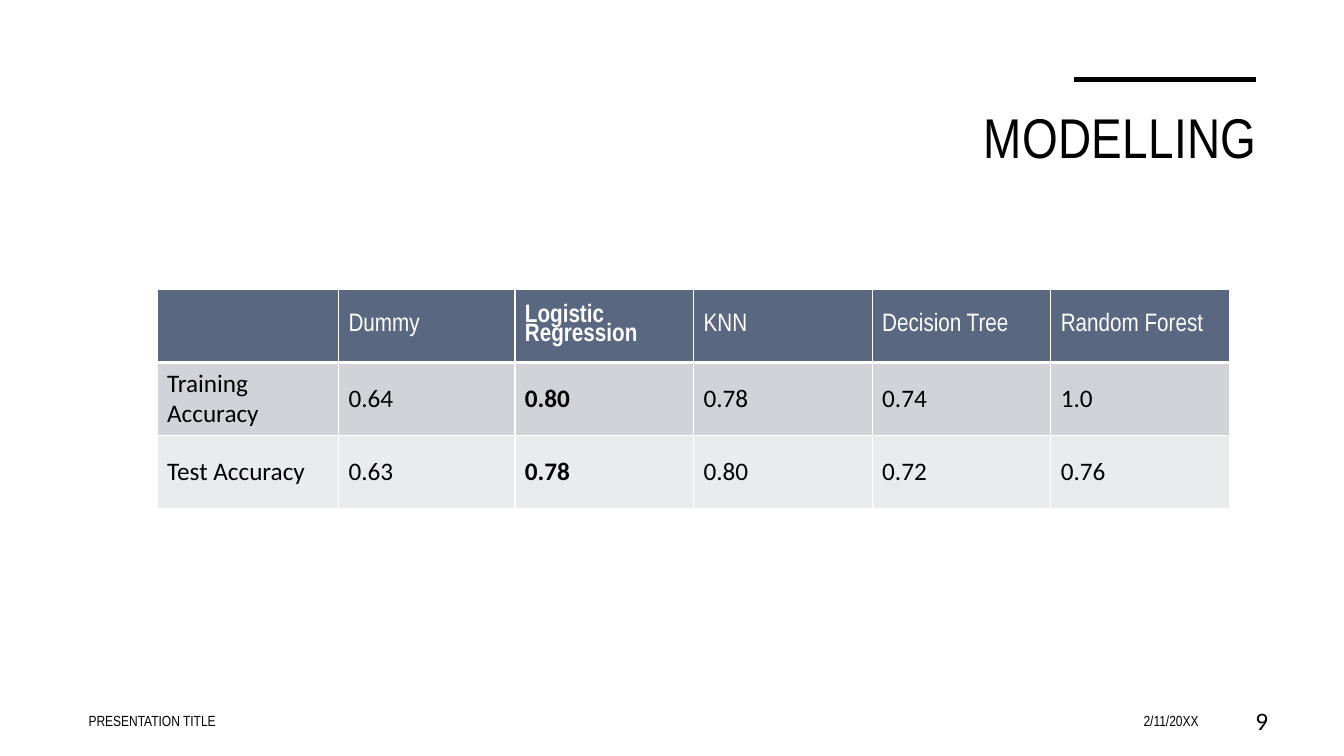
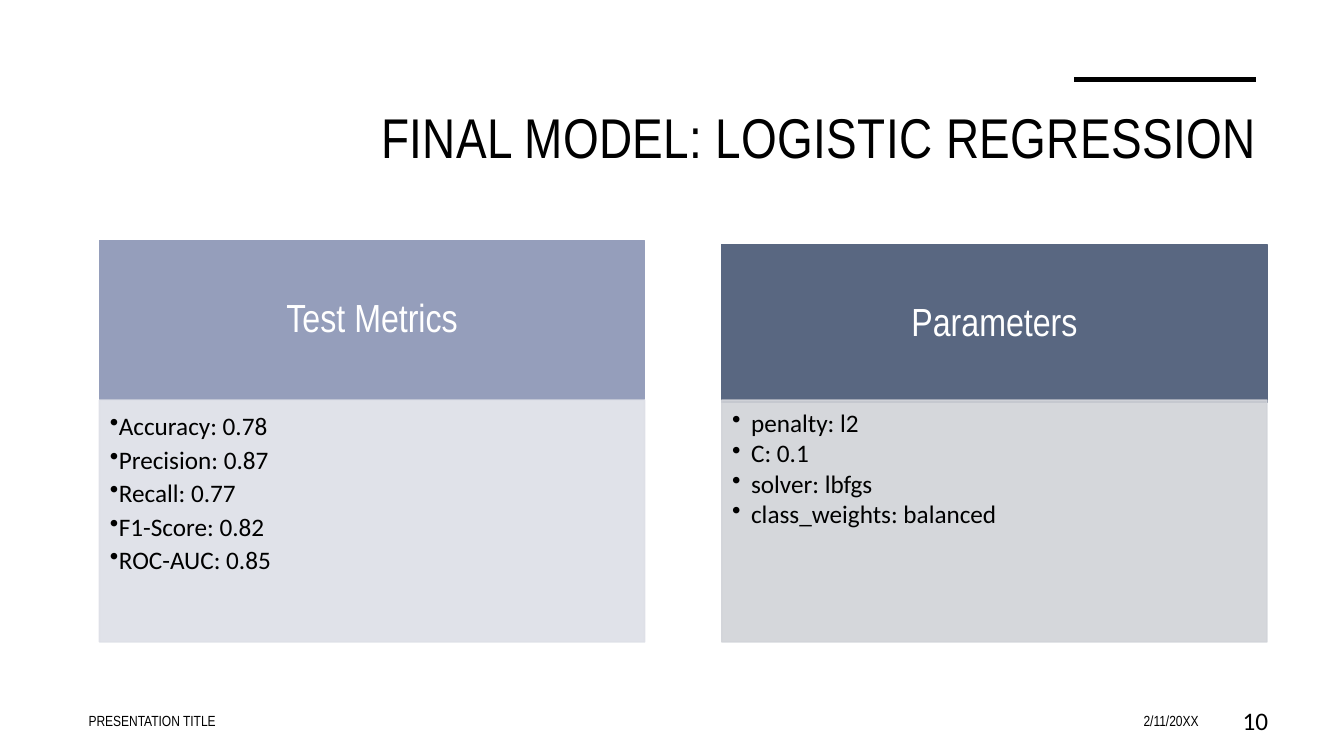
import pptx
import pptx.util
import pptx.oxml
import pptx.dml.color
import pptx.enum.shapes
import pptx.enum.text
import pptx.oxml.ns
from lxml import etree

Pt = pptx.util.Pt
RGBColor = pptx.dml.color.RGBColor
ALIGN = pptx.enum.text.PP_ALIGN
ANCHOR = pptx.enum.text.MSO_ANCHOR
qn = pptx.oxml.ns.qn

# Palette and fonts
BLACK = RGBColor(0x00, 0x00, 0x00)
WHITE = RGBColor(0xFF, 0xFF, 0xFF)
SLATE = RGBColor(0x59, 0x67, 0x81)
LAVENDER = RGBColor(0x95, 0x9E, 0xBB)
PALE_LAVENDER = RGBColor(0xDD, 0xDF, 0xE7)
GREY = RGBColor(0xD1, 0xD3, 0xD8)
LIGHT_GREY = RGBColor(0xEA, 0xEB, 0xED)
HEAD_FONT = "Arial Narrow"
BODY_FONT = "Calibri"


def write(p, text, font=BODY_FONT, size=18, color=BLACK, bold=False,
          align=ALIGN.LEFT, leading=1.0, after=0, spacing=None, indent=None):
    """Fill a paragraph; an indent (0 included) makes it a bullet."""
    if indent is not None:
        pPr = p._p.get_or_add_pPr()
        pPr.set("marL", str(Pt(indent)))
        pPr.set("indent", str(-Pt(indent)))
        etree.SubElement(pPr, qn("a:buChar"), char="•")
    p.alignment = align
    p.line_spacing = leading
    p.space_after = Pt(after)
    r = p.add_run()
    r.text = text
    r.font.name, r.font.size = font, Pt(size)
    r.font.bold, r.font.color.rgb = bold, color
    if spacing:
        r._r.get_or_add_rPr().set("spc", str(round(spacing * 100)))


def set_borders(cell, **widths):
    """Draw white cell edges; widths are given in points by side."""
    tcPr = cell._tc.get_or_add_tcPr()
    for side in "LRTB":
        ln = etree.SubElement(tcPr, qn("a:ln" + side), w=str(Pt(widths.get(side, 1))))
        fill = etree.SubElement(ln, qn("a:solidFill"))
        etree.SubElement(fill, qn("a:srgbClr"), val=str(WHITE))


def set_alpha(fill_parent, percent):
    for clr in fill_parent.iter(qn("a:srgbClr")):
        etree.SubElement(clr, qn("a:alpha"), val=str(percent * 1000))


class Deck:
    def __init__(self):
        self.prs = pptx.Presentation()
        self.prs.slide_width, self.prs.slide_height = Pt(960), Pt(540)
        self.s = None

    def new_slide(self, title, number):
        self.s = self.prs.slides.add_slide(self.prs.slide_layouts[6])
        self.rule(767.5, 57, 897)
        self.text(title, 54.7, 69.8, 850.3, 82.8, anchor=ANCHOR.TOP, size=40,
                  font=HEAD_FONT, align=ALIGN.RIGHT, spacing=0.3)
        # Footer
        small = dict(font=HEAD_FONT, size=10.5)
        self.text("PRESENTATION TITLE", 56.2, 500.4, 357, 28.8, **small)
        self.text("2/11/20XX", 658.8, 500.4, 204.5, 28.8, align=ALIGN.RIGHT, **small)
        self.text(str(number), 859.7, 500.4, 53.3, 28.8, align=ALIGN.RIGHT)

    def rule(self, x1, y, x2):
        kind = pptx.enum.shapes.MSO_CONNECTOR.STRAIGHT
        line = self.s.shapes.add_connector(kind, Pt(x1), Pt(y), Pt(x2), Pt(y))
        line.line.color.rgb, line.line.width = BLACK, Pt(3.5)
        etree.SubElement(line._element.spPr, qn("a:effectLst"))

    def text(self, text, x, y, w, h, anchor=ANCHOR.MIDDLE, **style):
        tf = self.s.shapes.add_textbox(Pt(x), Pt(y), Pt(w), Pt(h)).text_frame
        tf.word_wrap, tf.vertical_anchor = True, anchor
        write(tf.paragraphs[0], text, **style)

    def box(self, lines, x, y, w, h, fill_color, anchor, insets, alpha=None, **style):
        sp = self.s.shapes.add_shape(pptx.enum.shapes.MSO_SHAPE.RECTANGLE,
                                     Pt(x), Pt(y), Pt(w), Pt(h))
        sp.shadow.inherit = False
        sp.fill.solid()
        sp.fill.fore_color.rgb = fill_color
        sp.line.color.rgb, sp.line.width = fill_color, Pt(1)
        if alpha:
            set_alpha(sp._element.spPr, alpha)
        tf = sp.text_frame
        tf.word_wrap, tf.vertical_anchor = True, anchor
        tf.margin_left, tf.margin_top, tf.margin_right, tf.margin_bottom = map(Pt, insets)
        for i, line in enumerate(lines):
            write(tf.add_paragraph() if i else tf.paragraphs[0], line, **style)

    def card(self, heading, lines, x, top, head_color, body_color, **style):
        self.box([heading], x, top, 389.5, 113, head_color, ANCHOR.MIDDLE,
                 (16, 8.6, 16, 8.6), font=HEAD_FONT, size=28, color=WHITE,
                 align=ALIGN.CENTER, leading=0.9)
        self.box(lines, x, 285.8, 389.5, 172.8, body_color, ANCHOR.TOP,
                 (7.5, 7.5, 10, 11.5), alpha=90, after=2.3, **style)

    def table(self, rows, x, y, col_widths, row_height, fills, bold_col):
        table = self.s.shapes.add_table(len(rows), len(col_widths), Pt(x), Pt(y),
                                        Pt(sum(col_widths)),
                                        Pt(row_height * len(rows))).table
        table.first_row = table.horz_banding = False
        for col, width in zip(table.columns, col_widths):
            col.width = Pt(width)
        head = dict(font=HEAD_FONT, color=WHITE, leading=0.8)
        for i, row in enumerate(rows):
            table.rows[i].height = Pt(row_height)
            for j, value in enumerate(row):
                cell = table.cell(i, j)
                set_borders(cell, T=3 if i == 1 else 1, B=3 if i == 0 else 1)
                cell.fill.solid()
                cell.fill.fore_color.rgb = fills[i]
                cell.vertical_anchor = ANCHOR.MIDDLE
                if value:
                    write(cell.text_frame.paragraphs[0], value, bold=j == bold_col,
                          **(head if i == 0 else {}))


def main():
    deck = Deck()

    # Model comparison
    deck.new_slide("MODELLING", 9)
    deck.table([
        ["", "Dummy", "Logistic Regression", "KNN", "Decision Tree", "Random Forest"],
        ["Training Accuracy", "0.64", "0.80", "0.78", "0.74", "1.0"],
        ["Test Accuracy", "0.63", "0.78", "0.80", "0.72", "0.76"],
    ], 112.2, 206.8, [129.6, 126] + [127.6] * 4, 52.1,
        [SLATE, GREY, LIGHT_GREY], bold_col=2)

    # Chosen model
    deck.new_slide("FINAL MODEL: LOGISTIC REGRESSION", 10)
    deck.card("Test Metrics",
              ["Accuracy: 0.78", "Precision: 0.87", "Recall: 0.77",
               "F1-Score: 0.82", "ROC-AUC: 0.85"],
              71, 172, LAVENDER, PALE_LAVENDER, indent=0)
    deck.card("Parameters",
              ["penalty: l2", "C: 0.1", "solver: lbfgs", "class_weights: balanced"],
              515.5, 174.5, SLATE, GREY, indent=13.5, leading=0.9)

    deck.prs.save("out.pptx")


if __name__ == "__main__":
    main()
